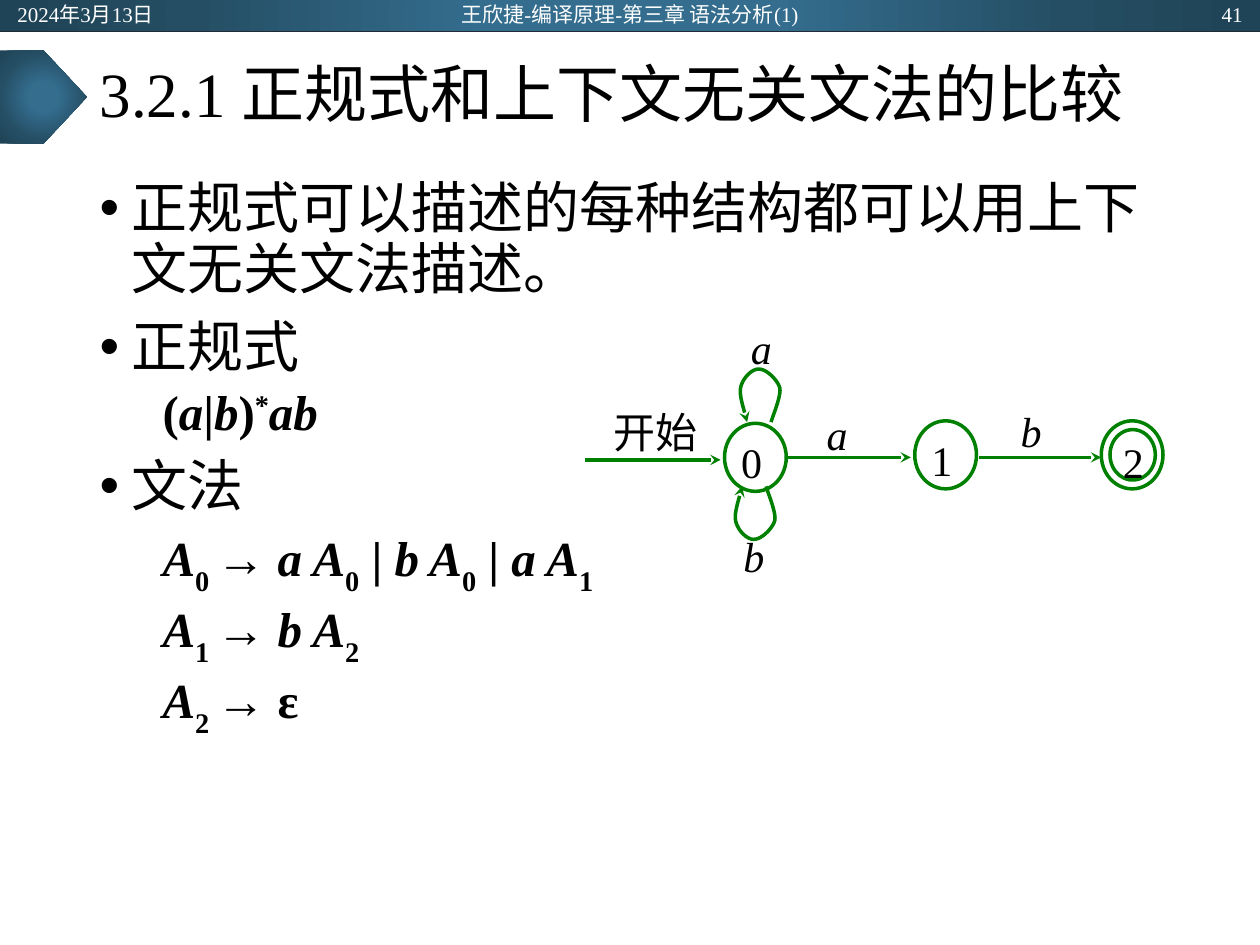
from lxml import etree
from pptx import Presentation
from pptx.dml.color import RGBColor
from pptx.enum.shapes import MSO_CONNECTOR as Link, MSO_SHAPE as Shape
from pptx.enum.text import MSO_ANCHOR as Anchor, MSO_AUTO_SIZE as Fit, PP_ALIGN as Align
from pptx.oxml import parse_xml
from pptx.oxml.ns import nsdecls, qn
from pptx.util import Inches, Pt

BLACK = RGBColor(0x00, 0x00, 0x00)
WHITE = RGBColor(0xFF, 0xFF, 0xFF)
GREEN = RGBColor(0x00, 0x80, 0x00)
SLATE = RGBColor(0x22, 0x2A, 0x35)
GRADIENT = [(0, RGBColor(0x34, 0x6D, 0x8E)), (23, RGBColor(0x34, 0x6D, 0x8E)),
            (69, RGBColor(0x25, 0x4E, 0x64)), (97, RGBColor(0x20, 0x44, 0x57))]
SERIF, HAN = "Times New Roman", "Noto Sans CJK SC"

# Run formats used in the formulas
BOLD = {"bold": True}
VAR = {"bold": True, "italic": True}
SUB = {"bold": True, "base": -30}
SUP = {"bold": True, "base": 30}
BULLETS = [
    ("正规式可以描述的每种结构都可以用上下文无关文法描述。", None),
    ("正规式", [[("(", BOLD), ("a", VAR), ("|", BOLD), ("b", VAR), (")", BOLD),
              ("*", SUP), ("ab", VAR)]]),
    ("文法", [
        [("A", VAR), ("0 ", SUB), ("→ ", BOLD), ("a A", VAR), ("0", SUB), (" | ", BOLD),
         ("b A", VAR), ("0", SUB), (" | ", BOLD), ("a A", VAR), ("1", SUB)],
        [("A", VAR), ("1 ", SUB), ("→ ", BOLD), ("b A", VAR), ("2", SUB)],
        [("A", VAR), ("2 ", SUB), ("→ ε", BOLD)]]),
]


def set_values(target, values):
    for name, value in values.items():
        setattr(target, name, value)


def add_span(para, text, size, color=BLACK, face=SERIF, base=0, **values):
    span = para.add_run()
    span.text = text
    span.font.color.rgb = color
    set_values(span.font, {"size": Pt(size), "name": face, **values})
    props = span._r.get_or_add_rPr()
    etree.SubElement(props, qn("a:ea")).set("typeface", HAN)
    if base:
        props.set("baseline", str(base * 1000))


def set_frame(frame, insets=(0.1, 0.05, 0.1, 0.05), anchor=Anchor.TOP):
    sides = ("margin_left", "margin_top", "margin_right", "margin_bottom")
    set_values(frame, dict(zip(sides, map(Inches, insets))))
    set_values(frame, {"word_wrap": True, "auto_size": Fit.NONE, "vertical_anchor": anchor})


def place(shape, left, top, width, height):
    names = ("left", "top", "width", "height")
    set_values(shape, dict(zip(names, map(Inches, (left, top, width, height)))))


def add_label(page, text, box, size=24, align=Align.LEFT, anchor=Anchor.TOP,
              insets=(0.06, 0.03, 0.06, 0.03), **values):
    label = page.shapes.add_textbox(*map(Inches, box))
    set_frame(label.text_frame, insets, anchor)
    para = label.text_frame.paragraphs[0]
    para.alignment = align
    add_span(para, text, size, **values)


def add_arrowhead(line):
    etree.SubElement(line._get_or_add_ln(), qn("a:tailEnd")).set("type", "stealth")


def add_line(page, x, y, length, color, width):
    line = page.shapes.add_connector(
        Link.STRAIGHT, *map(Inches, (x, y, x + length, y)))
    line.line.color.rgb = color
    line.line.width = Pt(width)
    etree.SubElement(line._element.spPr, qn("a:effectLst"))
    return line


def add_gradient_shape(page, kind, box):
    shape = page.shapes.add_shape(kind, *map(Inches, box))
    shape.shadow.inherit = False
    shape.line.fill.background()
    shape.fill.background()
    stops = "".join(f'<a:gs pos="{pos * 1000}"><a:srgbClr val="{color}"/></a:gs>'
                    for pos, color in GRADIENT)
    props = shape._element.spPr
    props.replace(props.find(qn("a:noFill")), parse_xml(
        f'<a:gradFill {nsdecls("a")} rotWithShape="1"><a:gsLst>{stops}</a:gsLst>'
        '<a:path path="circle"><a:fillToRect l="50000" t="50000" r="50000" b="50000"/>'
        '</a:path></a:gradFill>'))


def add_header(page, left, top, width, height):
    add_gradient_shape(page, Shape.RECTANGLE, (left, top, width, height))
    add_line(page, left, top + height, width, SLATE, 0.5)
    side, middle, edge = 2.25, 3.38, 0.04
    fields = [
        ("2024年3月13日", left + edge, side, Align.LEFT),
        ("王欣捷-编译原理-第三章 语法分析(1)", left + (width - middle) / 2, middle, Align.CENTER),
        ("41", left + width - edge - side, side, Align.RIGHT)]
    for text, x, field_width, align in fields:
        add_label(page, text, (x, top + 0.01, field_width, 0.2), 12, align, Anchor.MIDDLE,
                  (0.1, 0.05, 0.1, 0.05), color=WHITE)


def add_title(page, left, top, width, height):
    add_gradient_shape(page, Shape.PENTAGON, (0, top + 0.15, left, 0.74))
    title = page.shapes.title
    place(title, left, top, width, height)
    set_frame(title.text_frame, anchor=Anchor.MIDDLE)
    para = title.text_frame.paragraphs[0]
    set_values(para, {"alignment": Align.LEFT, "line_spacing": 0.9})
    add_span(para, "3.2.1 正规式和上下文无关文法的比较", 36)


def add_body(page, left, top, width, height):
    body = page.placeholders[1]
    place(body, left, top, width, height)
    frame = body.text_frame
    set_frame(frame)

    def add_para(level, margin, before, bullet):
        first = not frame.paragraphs[0].runs
        para = frame.paragraphs[0] if first else frame.add_paragraph()
        set_values(para, {"level": level, "line_spacing": 0.9, "alignment": Align.LEFT,
                          "space_before": Pt(0 if first else before)})
        props = para._p.get_or_add_pPr()
        props.set("marL", str(Inches(margin)))
        props.set("indent", str(Inches(-0.25)))
        if bullet:
            etree.SubElement(props, qn("a:buFont")).set("typeface", "Arial")
            etree.SubElement(props, qn("a:buChar")).set("char", bullet)
        else:
            etree.SubElement(props, qn("a:buNone"))
        return para

    for text, formulas in BULLETS:
        add_span(add_para(0, 0.25, 10, "•"), text, 32, face=HAN)
        for formula in formulas or []:
            para = add_para(1, 0.75, 5, None)
            for part, values in formula:
                add_span(para, part, 28, **values)


def add_state(page, box, text="", insets=(0.06, 0.03, 0.02, 0.05)):
    state = page.shapes.add_shape(Shape.OVAL, *map(Inches, box))
    state.shadow.inherit = False
    state.fill.background()
    state.line.color.rgb = GREEN
    state.line.width = Pt(2)
    if text:
        set_frame(state.text_frame, insets)
        para = state.text_frame.paragraphs[0]
        para.alignment = Align.LEFT
        add_span(para, text, 24)


def add_loop(page, left, top, below=False):
    """Curved arrow from a state back to itself, above or below it."""
    curve = [(.37, -.01), (.38, -.05), (.45, -.21), (.44, -.28), (.42, -.35), (.33, -.43),
             (.28, -.43), (.23, -.44), (.15, -.37), (.13, -.29), (.11, -.22), (.17, -.07),
             (.18, -.01)]
    if below:
        curve = [(x - 0.04, 0.49 - y) for x, y in curve]
    steps, points = 12, [curve[0]]
    for start in range(0, len(curve) - 1, 3):
        knots = curve[start:start + 4]
        for step in range(1, steps + 1):
            t = step / steps
            weights = ((1 - t) ** 3, 3 * t * (1 - t) ** 2, 3 * t * t * (1 - t), t ** 3)
            points.append(tuple(sum(w * knot[axis] for w, knot in zip(weights, knots))
                                for axis in (0, 1)))
    points = [(Inches(left + x), Inches(top + y)) for x, y in points]
    builder = page.shapes.build_freeform(*points[0])
    builder.add_line_segments(points[1:], close=False)
    loop = builder.convert_to_shape()
    loop.shadow.inherit = False
    loop.fill.background()
    loop.line.color.rgb = GREEN
    loop.line.width = Pt(2)
    add_arrowhead(loop.line)


def add_automaton(page, left, top):
    # States, the last one with a double ring
    for text, x, y in (("0", 1.11, 0.83), ("1", 2.62, 0.81), ("", 4.1, 0.81)):
        add_state(page, (left + x, top + y, 0.49, 0.54), text)
    add_state(page, (left + 4.17, top + 0.88, 0.36, 0.4), "2", (0.05, 0, 0.01, 0))
    # Transitions
    for x, y, length in ((0, 1.12, 1.08), (1.61, 1.1, 0.98), (3.13, 1.1, 0.97)):
        add_arrowhead(add_line(page, left + x, top + y, length, GREEN, 2).line)
    for below in (False, True):
        add_loop(page, left + 1.11, top + 0.83, below)
    # Transition labels
    add_label(page, "开始", (left + 0.17, top + 0.67, 0.79, 0.51))
    for text, x, y in (("a", 1.86, 0.68), ("a", 1.26, 0), ("b", 1.2, 1.65), ("b", 3.4, 0.66)):
        add_label(page, text, (left + x, top + y, 0.39, 0.44), italic=True)


def main():
    deck = Presentation()
    deck.slide_width, deck.slide_height = Inches(10), Inches(7.5)
    page = deck.slides.add_slide(deck.slide_layouts[1])
    add_header(page, 0, 0, 10, 0.25)
    add_title(page, 0.69, 0.25, 8.62, 1.04)
    add_body(page, 0.69, 1.38, 8.62, 5.38)
    add_automaton(page, 4.64, 2.53)
    deck.save("out.pptx")


if __name__ == "__main__":
    main()
